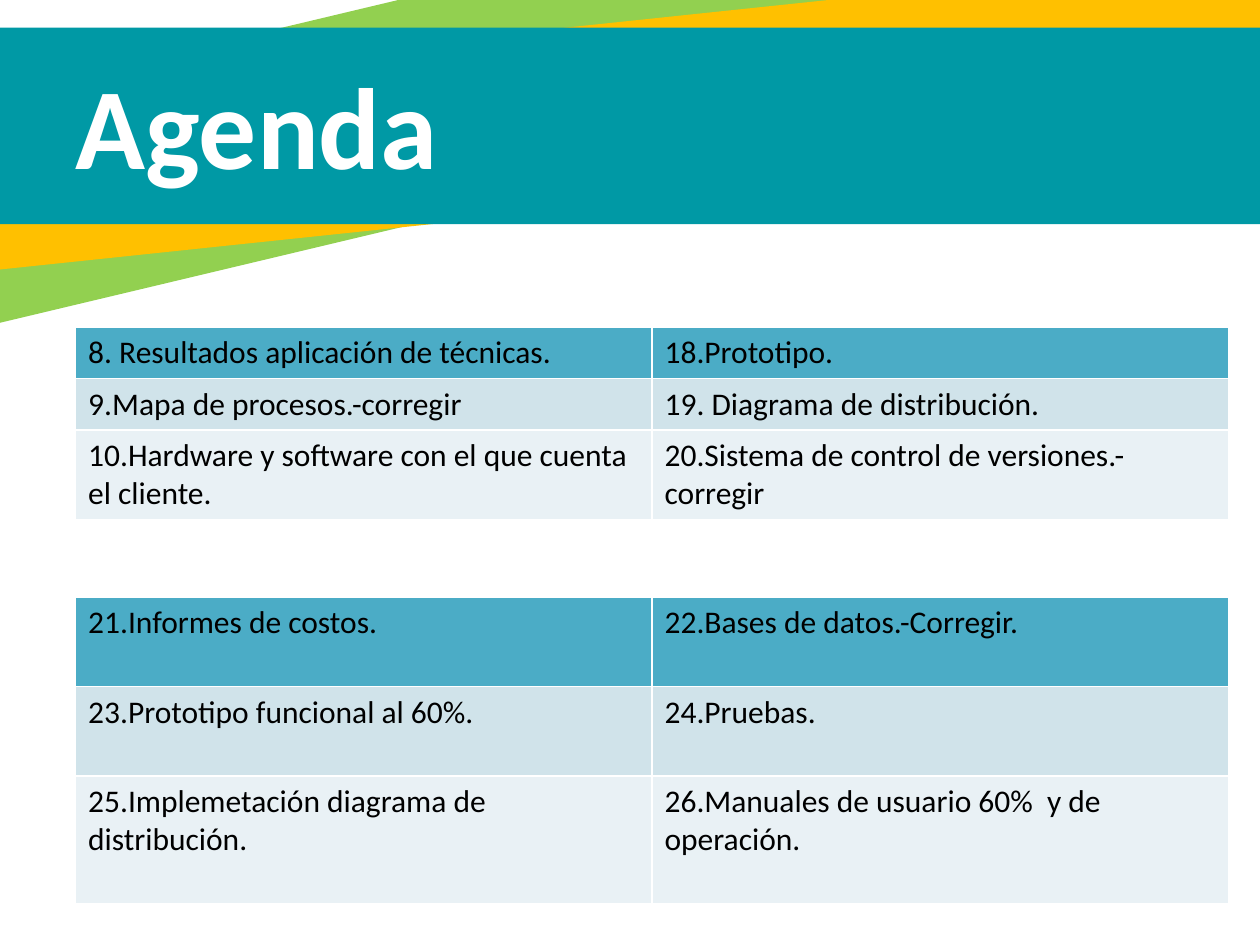
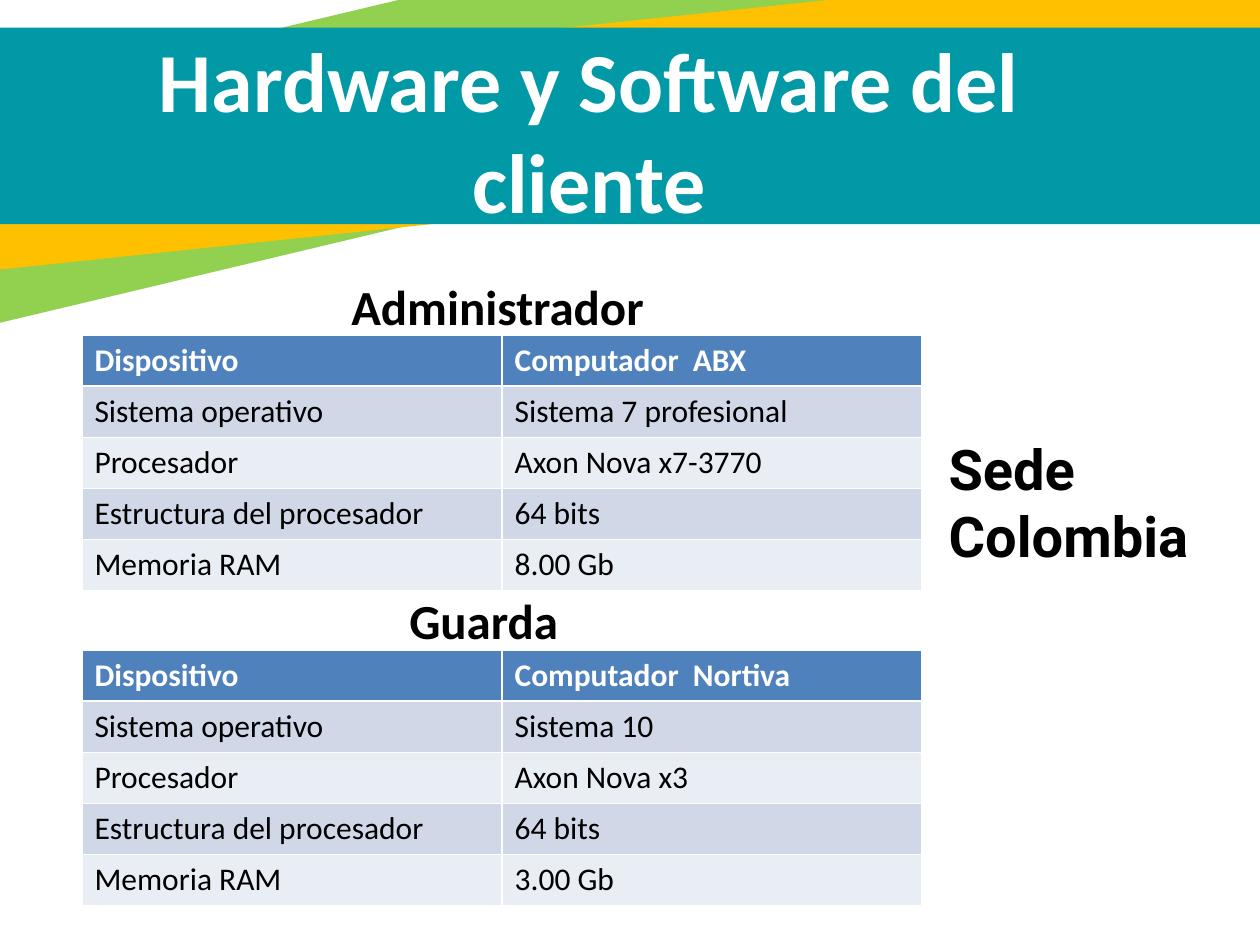
from pptx import Presentation
from pptx.dml.color import RGBColor
from pptx.enum.shapes import MSO_SHAPE
from pptx.enum.text import MSO_ANCHOR, MSO_AUTO_SIZE, PP_ALIGN
from pptx.util import Inches, Pt

# Content
HUES = {"teal": "0099A5", "gold": "FFC000", "lime": "92D050",
        "white": "FFFFFF", "black": "000000"}
AQUA = ("4BACC6", "D0E3EA", "E9F1F5")   # head, odd rows, even rows
BLUE = ("4F81BD", "D0D8E8", "E9EDF4")
BANDS = [  # hue, left, top, width, height, turn
    ("lime", -2.51, -0.18, 13.06, 1.76, 346.6),
    ("gold", -1.1, 0.2, 11.63, 1.44, 354),
    ("teal", -1.06, 0.22, 11.63, 1.56, 0),
]
TOPICS = [
    ("8. Resultados aplicación de técnicas.", "18.Prototipo."),
    ("9.Mapa de procesos.-corregir", "19. Diagrama de distribución."),
    ("10.Hardware y software con el que cuenta el cliente.",
     "20.Sistema de control de versiones.-corregir"),
]
TASKS = [
    ("21.Informes de costos.", "22.Bases de datos.-Corregir."),
    ("23.Prototipo funcional al 60%.", "24.Pruebas."),
    ("25.Implemetación diagrama de distribución.",
     "26.Manuales de usuario 60%  y de operación."),
]
FIELDS = ["Dispositivo", "Sistema operativo", "Procesador",
          "Estructura del procesador", "Memoria RAM"]
ADMIN = ["Computador  ABX", "Sistema 7 profesional", "Axon Nova x7-3770",
         "64 bits", "8.00 Gb"]
GUARD = ["Computador  Nortiva", "Sistema 10", "Axon Nova x3",
         "64 bits", "3.00 Gb"]
ROW = 0.404


def write(frame, text, size=18, hue="black", bold=False, font="Calibri",
          align=PP_ALIGN.LEFT, anchor=MSO_ANCHOR.MIDDLE):
    frame.word_wrap = True
    frame.auto_size = MSO_AUTO_SIZE.NONE
    frame.vertical_anchor = anchor
    par = frame.paragraphs[0]
    par.alignment = align
    run = par.add_run()
    run.text = text
    style = run.font
    style.size, style.bold, style.name = Pt(size), bold, font
    style.color.rgb = RGBColor.from_string(HUES[hue])


def place(shape, *box):
    shape.left, shape.top, shape.width, shape.height = map(Inches, box)


def label(slide, text, *box, **form):
    area = slide.shapes.add_textbox(*map(Inches, box))
    write(area.text_frame, text, bold=True, **form)


def title(deck, text, *box, **form):
    slide = deck.slides.add_slide(deck.slide_layouts[5])
    place(slide.shapes.title, *box)
    write(slide.shapes.title.text_frame, text, hue="white", bold=True, **form)
    return slide


def grid(slide, rows, left, top, width, highs, fills, **head):
    cols = len(rows[0])
    frame = slide.shapes.add_table(len(rows), cols, Inches(left), Inches(top),
                                   Inches(width), Inches(sum(highs)))
    table = frame.table
    for r, (row, high) in enumerate(zip(rows, highs)):
        table.rows[r].height = Inches(high)
        tint = fills[0] if r == 0 else fills[2 - r % 2]
        for c, text in enumerate(row):
            cell = table.cell(r, c)
            cell.fill.solid()
            cell.fill.fore_color.rgb = RGBColor.from_string(tint)
            write(cell.text_frame, text, anchor=MSO_ANCHOR.TOP,
                  **(head if r == 0 else {}))


def dress(deck):
    """Put the shared bands behind everything on the title-only layout."""
    slide = deck.slides[0]
    tree = deck.slide_layouts[5].shapes.element
    for i, (hue, *box, turn) in enumerate(BANDS):
        band = slide.shapes.add_shape(MSO_SHAPE.RECTANGLE, *map(Inches, box))
        band.rotation = turn
        band.shadow.inherit = False
        band.fill.solid()
        band.fill.fore_color.rgb = RGBColor.from_string(HUES[hue])
        band.line.fill.background()
        band.element.nvSpPr.cNvPr.id = 20 + i
        tree.insert(2 + i, band.element)


def main():
    deck = Presentation()
    deck.slide_width, deck.slide_height = Inches(10), Inches(7.5)

    # Agenda
    slide = title(deck, "Agenda", 0.5, 0.49, 6.58, 0.97, size=66)
    dress(deck)
    grid(slide, TASKS, 0.6, 4.74, 9.15, (0.71, 0.71, 1.01), AQUA)
    grid(slide, TOPICS, 0.6, 2.6, 9.15, (ROW, ROW, 0.7), AQUA)

    # Client hardware and software
    slide = title(deck, "Hardware y Software del cliente",
                  0.91, 0.67, 7.53, 0.71, size=48, align=PP_ALIGN.CENTER)
    for top, data in ((2.66, ADMIN), (5.16, GUARD)):
        grid(slide, list(zip(FIELDS, data)), 0.65, top, 6.67,
             [ROW] * len(FIELDS), BLUE, hue="white", bold=True)
    label(slide, "Administrador", 2.69, 2.13, 2.59, 0.59, size=28)
    label(slide, "Guarda", 3.15, 4.77, 1.68, 0.3, size=28)
    label(slide, "Sede Colombia", 7.43, 3.78, 2.5, 0.4, size=32, font="Roboto")

    deck.save("out.pptx")


if __name__ == "__main__":
    main()
